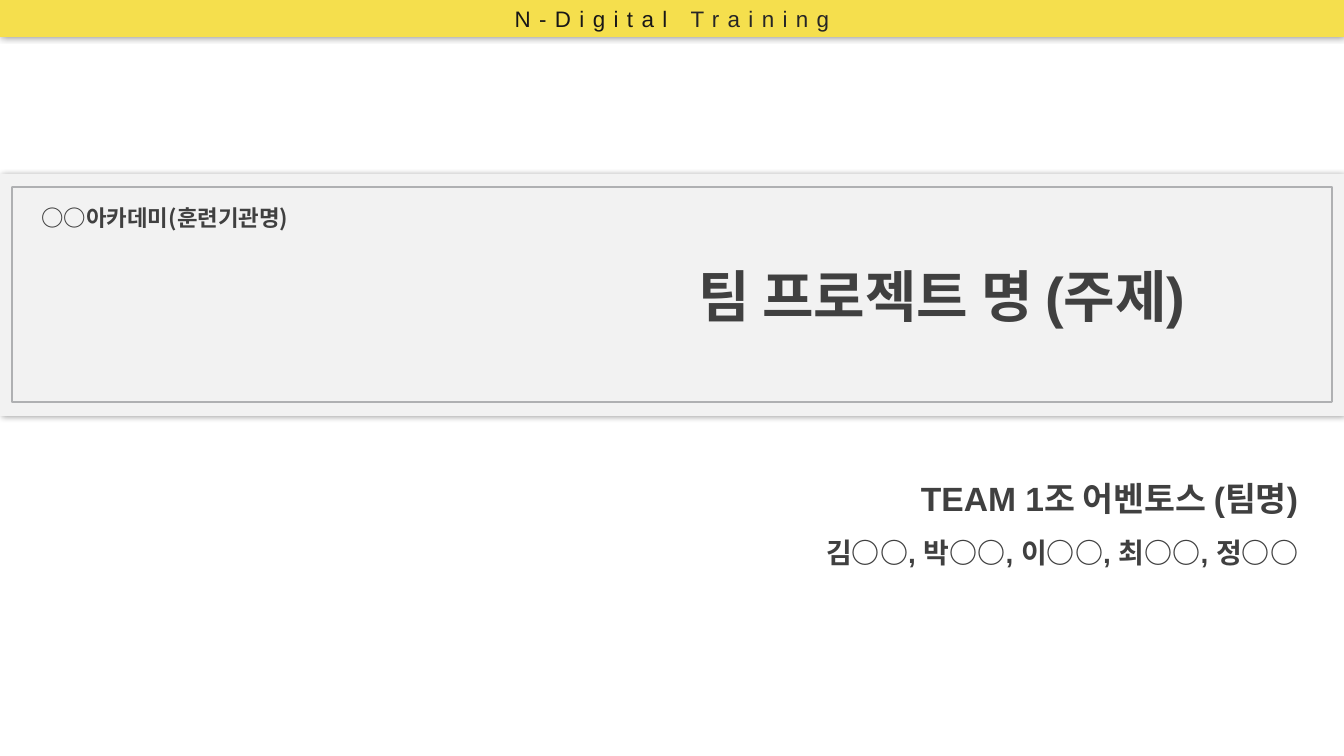
from lxml import etree
from pptx import Presentation
from pptx.dml.color import RGBColor
from pptx.enum.shapes import MSO_SHAPE as Shape
from pptx.enum.text import MSO_ANCHOR as Anchor, MSO_AUTO_SIZE as Fit, PP_ALIGN as Align
from pptx.oxml import parse_xml
from pptx.oxml.ns import nsdecls, qn
from pptx.util import Pt

WIDE, HIGH = 1344, 756
DARK = "404040"
KOREAN = "Noto Sans CJK KR"


def px(size):
    """Turn pixels into EMU."""
    return round(size * 914400 / 100.8)


def color(code):
    """Turn a hex string into a colour."""
    return RGBColor.from_string(code)


def add_run(para, text, size=16, font="Arial", ink=DARK, bold=False, space=0):
    """Add one formatted run to a paragraph."""
    run = para.add_run()
    run.text = text
    run.font.size, run.font.name, run.font.bold = Pt(size), font, bold
    run.font.color.rgb = color(ink)
    props = run.font._element
    etree.SubElement(props, qn("a:ea")).set("typeface", KOREAN)
    if space:
        props.set("spc", str(space * 100))


def add_text(slide, box, lines, align=Align.CENTER, inset=5, lead=None, **form):
    """Add a text box holding (text, size) lines."""
    frame = slide.shapes.add_textbox(*map(px, box)).text_frame
    frame.word_wrap = True
    frame.auto_size = Fit.SHAPE_TO_FIT_TEXT
    frame.margin_top = frame.margin_bottom = px(inset)
    for i, (text, size) in enumerate(lines):
        para = frame.add_paragraph() if i else frame.paragraphs[0]
        para.alignment = align
        if lead:
            para.line_spacing = lead
        add_run(para, text, size=size, bold=True, **form)


def add_band(slide, box, fill):
    """Add a filled band with a soft shadow."""
    band = slide.shapes.add_shape(Shape.RECTANGLE, *map(px, box))
    band.fill.solid()
    band.fill.fore_color.rgb = color(fill)
    band.line.fill.background()
    band._element.spPr.append(parse_xml(
        f'<a:effectLst {nsdecls("a")}><a:outerShdw blurRad="{Pt(5)}" dist="0" dir="0">'
        '<a:srgbClr val="000000"><a:alpha val="40000"/></a:srgbClr>'
        '</a:outerShdw></a:effectLst>'))
    return band


def add_frame(slide, box):
    """Add the thin grey outline."""
    frame = slide.shapes.add_shape(Shape.RECTANGLE, *map(px, box))
    frame.shadow.inherit = False
    frame.fill.background()
    frame.line.color.rgb = color("939597")
    frame.line.width = Pt(1.25)
    tone = frame.line._ln.find(".//" + qn("a:srgbClr"))
    etree.SubElement(tone, qn("a:alpha")).set("val", "70000")


def draw_head(slide, box):
    """Draw the yellow strip with the course name."""
    text = add_band(slide, box, "F5DF4D").text_frame
    text.vertical_anchor = Anchor.MIDDLE
    para = text.paragraphs[0]
    para.alignment = Align.CENTER
    for word, ink in (("N-Digital ", "181717"), ("Training", "262626")):
        add_run(para, word, ink=ink, space=6)


def draw_title(slide, box):
    """Draw the grey panel with the school and the project title."""
    x, y, w, h = box
    add_band(slide, box, "F2F2F2")
    add_text(slide, (x + 20, y + 25, 290, 37), [("○○아카데미(훈련기관명)", 16)], font=KOREAN)
    add_text(slide, (x + 569, y + 87, 746, 68), [("팀 프로젝트 명 (주제)", 40)], inset=0)
    add_frame(slide, (x + 12, y + 13, w - 24, h - 27))


def draw_team(slide, box):
    """Draw the team name and its members."""
    lines = [("TEAM 1조 어벤토스 (팀명)", 24), ("김○○, 박○○, 이○○, 최○○, 정○○", 20)]
    add_text(slide, box, lines, align=Align.RIGHT, inset=0, lead=1.5)


def main():
    """Build and save the cover slide."""
    deck = Presentation()
    deck.slide_width, deck.slide_height = px(WIDE), px(HIGH)
    slide = deck.slides.add_slide(deck.slide_layouts[6])
    draw_team(slide, (740, 458, 568, 112))
    draw_title(slide, (0, 174, WIDE, 242))
    draw_head(slide, (0, 0, WIDE, 37))
    deck.save("out.pptx")


if __name__ == "__main__":
    main()
